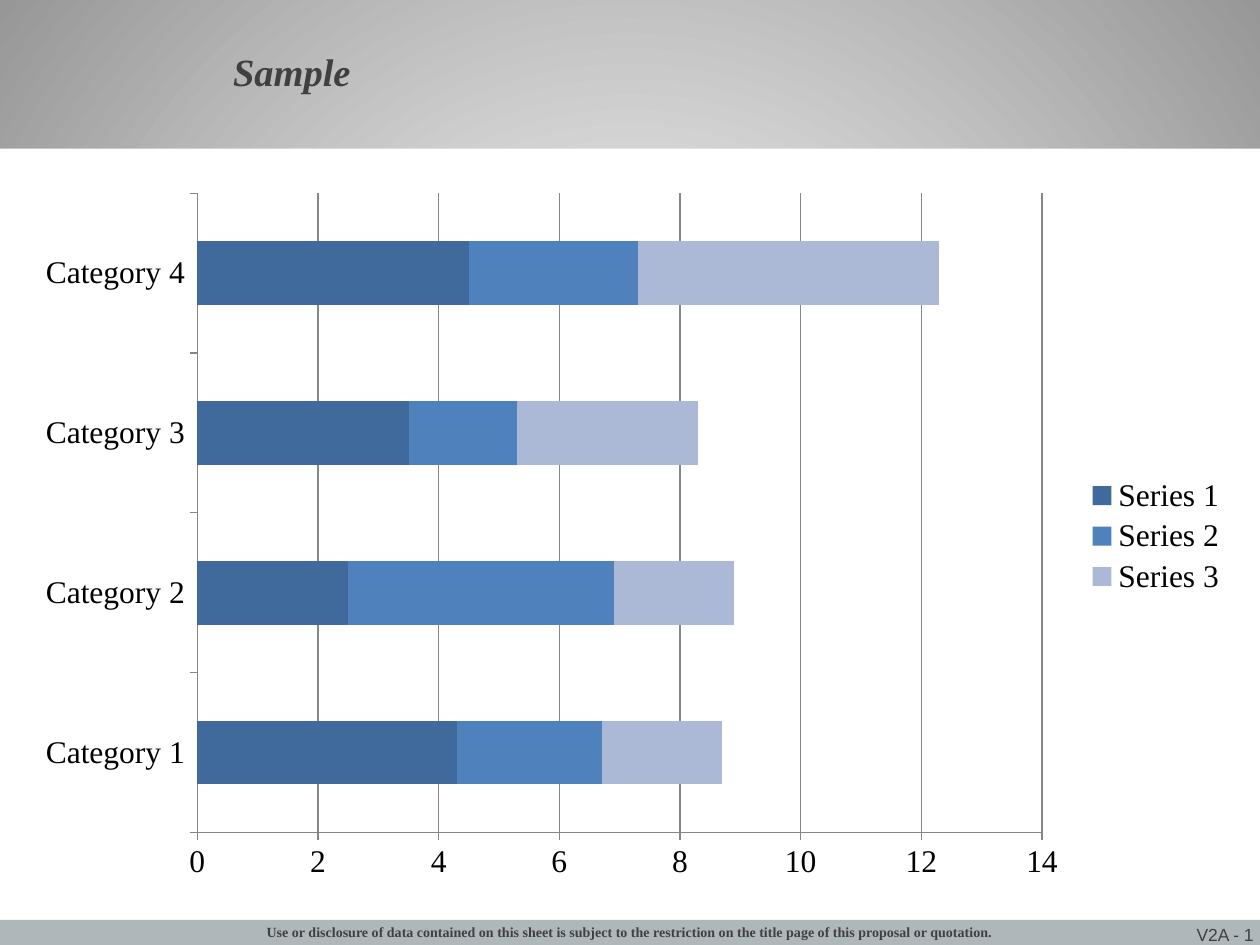
from lxml import etree
from pptx import Presentation
from pptx.chart.data import CategoryChartData
from pptx.dml.color import RGBColor
from pptx.enum.chart import XL_CHART_TYPE, XL_LEGEND_POSITION, XL_TICK_MARK
from pptx.enum.shapes import MSO_SHAPE
from pptx.enum.text import MSO_ANCHOR, PP_ALIGN
from pptx.oxml.ns import qn
from pptx.util import Inches, Pt

STACKED_BAR = XL_CHART_TYPE.BAR_STACKED
LEGEND_RIGHT = XL_LEGEND_POSITION.RIGHT
TICK_OUTSIDE = XL_TICK_MARK.OUTSIDE
RECTANGLE = MSO_SHAPE.RECTANGLE
MIDDLE, TOP, BOTTOM = MSO_ANCHOR.MIDDLE, MSO_ANCHOR.TOP, MSO_ANCHOR.BOTTOM
LEFT, CENTER, RIGHT = PP_ALIGN.LEFT, PP_ALIGN.CENTER, PP_ALIGN.RIGHT

WIDTH, HEIGHT = 10, 7.5
TITLE_ONLY = 5


def color(value):
    return RGBColor.from_string(value)


class Deck:
    serif, sans = "Times New Roman", "Arial"
    ink, grid = "404040", "868686"

    def __init__(self):
        self.presentation = Presentation()
        self.presentation.slide_width = Inches(WIDTH)
        self.presentation.slide_height = Inches(HEIGHT)
        self.slide = self.presentation.slides.add_slide(
            self.presentation.slide_layouts[TITLE_ONLY])

    def box(self, x, y, w, h):
        return [Inches(round(share * side / 100, 2)) for share, side in
                ((x, WIDTH), (y, HEIGHT), (w, WIDTH), (h, HEIGHT))]

    def radial_background(self, inner, outer):
        fill = self.slide.background.fill
        fill.gradient()
        for stop, value in zip(fill.gradient_stops, (inner, outer)):
            stop.color.rgb = color(value)
        gradient = self.slide.element.find(".//" + qn("a:gradFill"))
        gradient.remove(gradient.find(qn("a:lin")))
        circle = etree.SubElement(gradient, qn("a:path"), {"path": "circle"})
        etree.SubElement(circle, qn("a:fillToRect"),
                         dict.fromkeys("ltrb", "50000"))

    def band(self, area, fill):
        band = self.slide.shapes.add_shape(RECTANGLE, *self.box(*area))
        band.shadow.inherit = False
        band.fill.solid()
        band.fill.fore_color.rgb = color(fill)
        band.line.fill.background()

    def set_text(self, frame, text, size, font, align, anchor, bold=False, italic=False):
        frame.text = text
        frame.word_wrap = True
        frame.vertical_anchor = anchor
        paragraph = frame.paragraphs[0]
        paragraph.alignment = align
        style = paragraph.font
        style.name, style.size = font, Pt(size)
        style.bold, style.italic = bold, italic
        style.color.rgb = color(self.ink)
        return paragraph

    def title(self, area, text):
        heading = self.slide.shapes.title
        heading.left, heading.top, heading.width, heading.height = self.box(*area)
        paragraph = self.set_text(heading.text_frame, text, 22, self.serif,
                                  LEFT, MIDDLE, bold=True, italic=True)
        paragraph.line_spacing = 0.85
        paragraph.space_before = Pt(4.4)

    def label(self, area, text, size, font, align, anchor, bold=False):
        frame = self.slide.shapes.add_textbox(*self.box(*area)).text_frame
        frame.margin_left = frame.margin_right = 0
        frame.margin_top = frame.margin_bottom = 0
        self.set_text(frame, text, size, font, align, anchor, bold)

    def stacked_bars(self, area, categories, series):
        data = CategoryChartData()
        data.categories = categories
        for name, values, _ in series:
            data.add_series(name, values)
        chart = self.slide.shapes.add_chart(
            STACKED_BAR, *self.box(*area), data).chart
        chart.has_title = False
        chart.font.name, chart.font.size = self.serif, Pt(18)
        chart.font.color.rgb = color("000000")
        chart.has_legend = True
        chart.legend.position = LEGEND_RIGHT
        chart.legend.include_in_layout = False
        bars = chart.plots[0]
        bars.gap_width, bars.overlap = 150, 100
        bars.vary_by_categories = False
        for bar, (_, _, fill) in zip(bars.series, series):
            bar.format.fill.solid()
            bar.format.fill.fore_color.rgb = color(fill)
        chart.value_axis.has_major_gridlines = True
        for axis in (chart.category_axis, chart.value_axis):
            axis.major_tick_mark = TICK_OUTSIDE
        for ruled in (chart.category_axis, chart.value_axis,
                      chart.value_axis.major_gridlines):
            ruled.format.line.color.rgb = color(self.grid)
            ruled.format.line.width = Pt(0.75)

    def save(self):
        self.presentation.save("out.pptx")


deck = Deck()
deck.radial_background("FFFFFF", "979797")
deck.band((0, 15.73, 100, 82), "FFFFFF")
deck.band((0, 97.33, 100, 2.67), "AFB7BA")
deck.label((90.1, 97.73, 9.4, 2.27), "V2A - 1", 10, deck.sans, RIGHT, BOTTOM)
deck.label((14.4, 97.73, 71.2, 1.73),
           "Use or disclosure of data contained on this sheet is subject to the "
           "restriction on the title page of this proposal or quotation.",
           8, deck.serif, CENTER, TOP, bold=True)
deck.title((17.5, 1.47, 80.8, 12.93), "Sample")
deck.stacked_bars(
    (1.7, 18.93, 96.7, 75.6),
    [f"Category {number}" for number in range(1, 5)],
    [("Series 1", (4.3, 2.5, 3.5, 4.5), "40699C"),
     ("Series 2", (2.4, 4.4, 1.8, 2.8), "4F81BD"),
     ("Series 3", (2, 2, 3, 5), "ABB9D7")])
deck.save()
